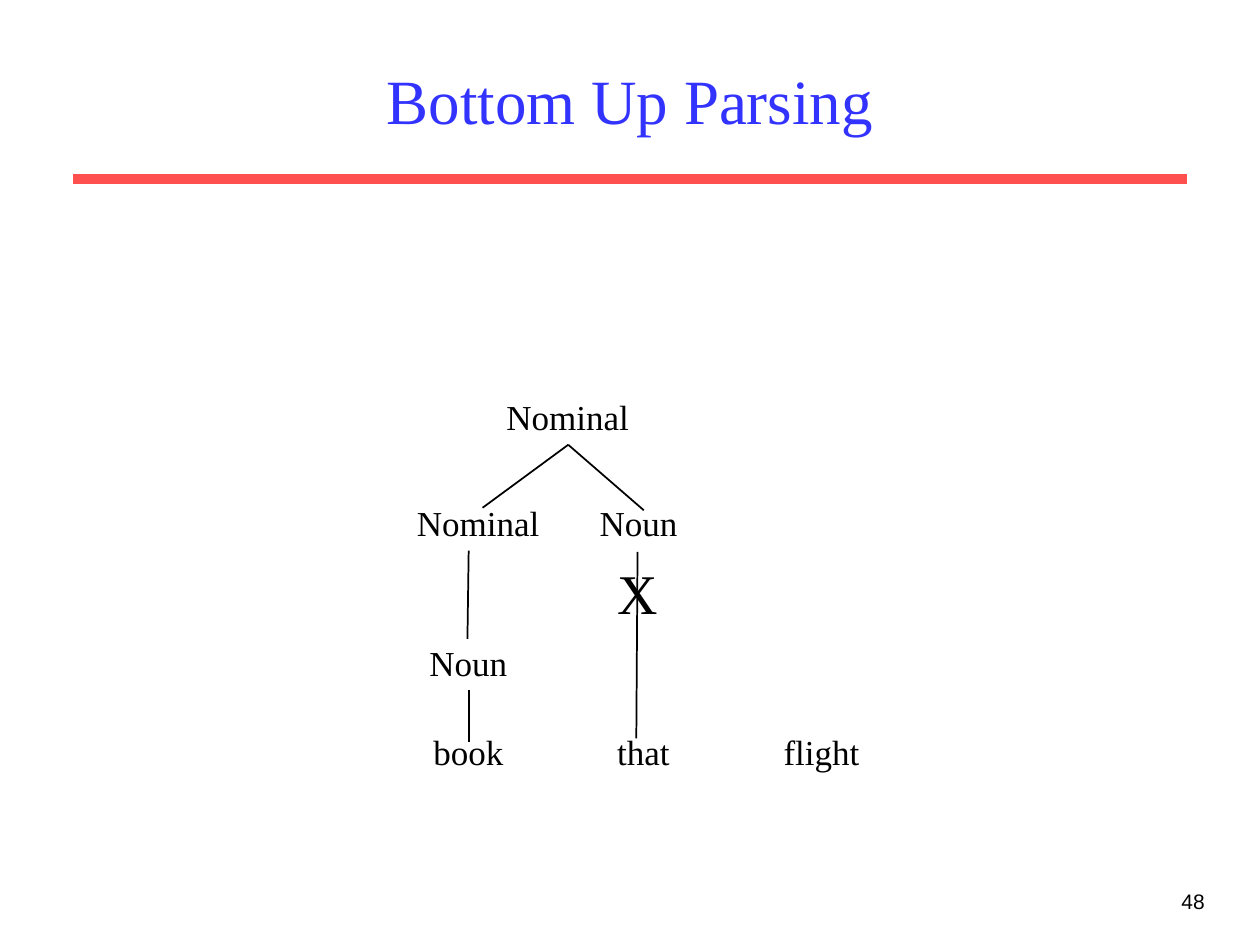
from lxml.etree import SubElement
from pptx import Presentation
from pptx.dml.color import RGBColor
from pptx.enum.shapes import MSO_CONNECTOR
from pptx.enum.text import MSO_ANCHOR, PP_ALIGN
from pptx.oxml.ns import qn
from pptx.util import Inches, Pt

BLUE = RGBColor(0x33, 0x33, 0xFF)
RED = RGBColor(0xFF, 0x50, 0x50)
BLACK = RGBColor(0, 0, 0)
SERIF, SANS = "Times New Roman", "Arial"

ROWS = [
    ("Nominal", 0.71, 0, 1.2, 0.44, 20, ()),
    ("Nominal\tNoun", 0, 0.84, 2.32, 0.44, 20, (1.45,)),
    ("X", 1.59, 1.29, 0.52, 0.64, 32, ()),
    ("Noun", 0.1, 1.95, 0.84, 0.44, 20, ()),
    ("book\tthat\tflight", 0.13, 2.66, 3.62, 0.44, 20, (1.46, 2.78)),
]
EDGES = [
    (1.3, 0.44, 0.62, 0.94),
    (1.3, 0.44, 1.9, 0.96),
    (0.51, 1.28, 0.5, 1.98),
    (0.51, 2.39, 0.51, 2.8),
    (1.85, 1.29, 1.84, 2.77),
]


def style(para, size, name, color, align):
    """Format a paragraph."""
    para.alignment = align
    font = para.font
    font.size, font.name = Pt(size), name
    font.color.rgb = color


def add_line(slide, x1, y1, x2, y2, color, width):
    """Draw a straight line without a shadow."""
    line = slide.shapes.add_connector(
        MSO_CONNECTOR.STRAIGHT, Inches(x1), Inches(y1), Inches(x2), Inches(y2))
    line.line.color.rgb = color
    line.line.width = Pt(width)
    SubElement(line._element.spPr, qn("a:effectLst"))


def add_text(slide, text, x, y, w, h, size, tabs=(), name=SERIF,
             align=PP_ALIGN.LEFT):
    """Place one line of black text with its tab stops."""
    box = slide.shapes.add_textbox(Inches(x), Inches(y), Inches(w), Inches(h))
    frame = box.text_frame
    frame.word_wrap = False
    frame.text = text
    para = frame.paragraphs[0]
    if tabs:
        stops = SubElement(para._p.get_or_add_pPr(), qn("a:tabLst"))
        for stop in tabs:
            SubElement(stops, qn("a:tab"), pos=str(Inches(stop)), algn="l")
    style(para, size, name, BLACK, align)


def add_head(slide, x, y, w, h):
    """Fill the title and draw the rule below it."""
    title = slide.shapes.title
    title.left, title.top = Inches(x), Inches(y)
    title.width, title.height = Inches(w), Inches(h)
    frame = title.text_frame
    frame.text = "Bottom Up Parsing"
    frame.vertical_anchor = MSO_ANCHOR.MIDDLE
    style(frame.paragraphs[0], 36, SERIF, BLUE, PP_ALIGN.CENTER)
    rule = y + h + 0.09
    add_line(slide, x - 0.17, rule, x + w + 0.17, rule, RED, 6)


def add_tree(slide, x, y):
    """Draw the parse tree from its top left corner."""
    for text, dx, dy, w, h, size, tabs in ROWS:
        add_text(slide, text, x + dx, y + dy, w, h, size, tabs)
    for x1, y1, x2, y2 in EDGES:
        add_line(slide, x + x1, y + y1, x + x2, y + y2, BLACK, 1)


def main():
    """Build and save the slide."""
    deck = Presentation()
    deck.slide_width, deck.slide_height = Inches(10), Inches(7.5)
    slide = deck.slides.add_slide(deck.slide_layouts[5])
    add_head(slide, 0.75, 0.25, 8.5, 1.08)
    add_tree(slide, 3.21, 3.09)
    add_text(slide, "48", 7.58, 7, 2.08, 0.5, 12, name=SANS,
             align=PP_ALIGN.RIGHT)
    deck.save("out.pptx")


if __name__ == "__main__":
    main()
